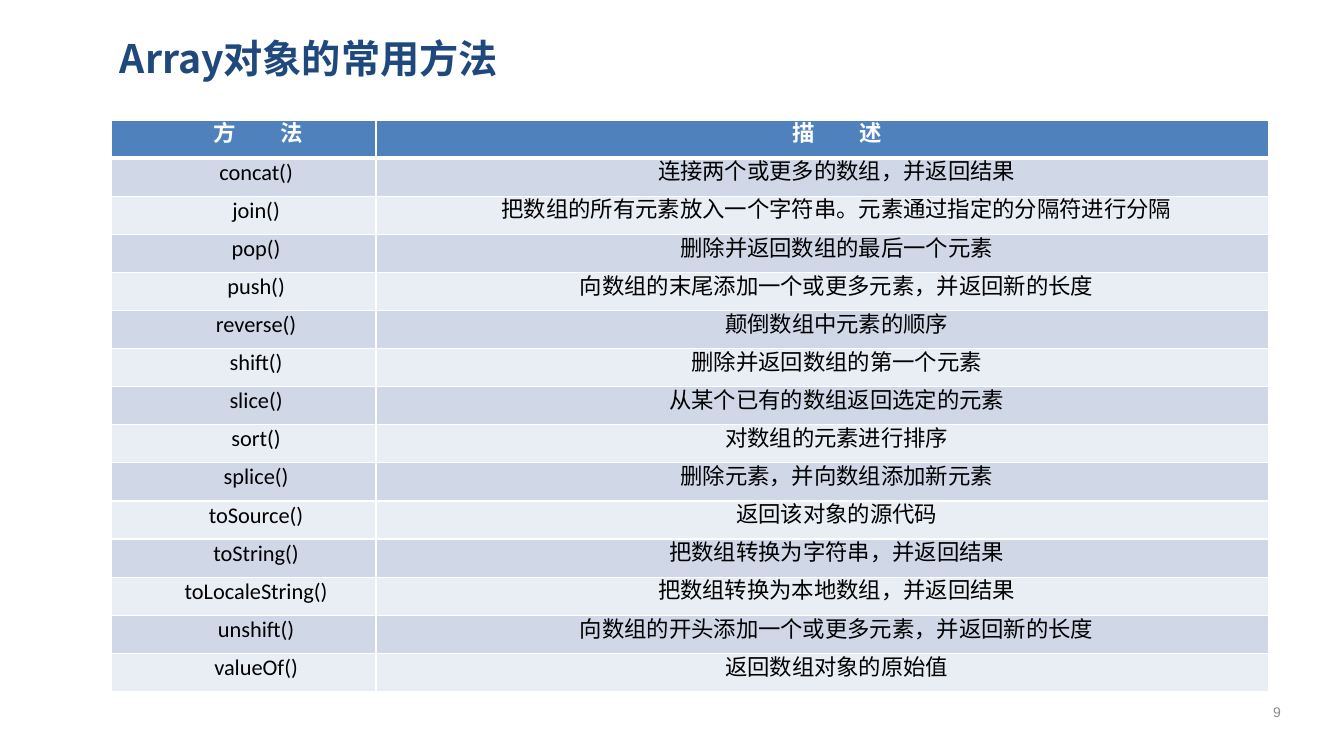
from lxml import etree
from pptx import Presentation
from pptx.dml.color import RGBColor
from pptx.enum.text import MSO_ANCHOR, PP_ALIGN
from pptx.oxml.ns import qn
from pptx.util import Inches, Pt

MIDDLE = MSO_ANCHOR.MIDDLE
LEFT, CENTER = PP_ALIGN.LEFT, PP_ALIGN.CENTER

WHITE = RGBColor(0xFF, 0xFF, 0xFF)
BLACK = RGBColor(0x00, 0x00, 0x00)
NAVY = RGBColor(0x1F, 0x49, 0x7D)
GRAY = RGBColor(0x8C, 0x8C, 0x8C)
HEADER_BLUE = RGBColor(0x4F, 0x81, 0xBD)
BANDS = (RGBColor(0xD0, 0xD8, 0xE8), RGBColor(0xE9, 0xED, 0xF4))

CJK_FONT = "Noto Sans CJK SC"
COLUMN_SHARES = (2.62, 8.85)
HEADER = ("方\u3000\u3000法", "描\u3000\u3000述")
METHODS = (
    ("concat() ", "连接两个或更多的数组，并返回结果"),
    ("join() ", "把数组的所有元素放入一个字符串。元素通过指定的分隔符进行分隔"),
    ("pop() ", "删除并返回数组的最后一个元素"),
    ("push() ", "向数组的末尾添加一个或更多元素，并返回新的长度"),
    ("reverse() ", "颠倒数组中元素的顺序"),
    ("shift() ", "删除并返回数组的第一个元素"),
    ("slice() ", "从某个已有的数组返回选定的元素"),
    ("sort() ", "对数组的元素进行排序"),
    ("splice() ", "删除元素，并向数组添加新元素"),
    ("toSource() ", "返回该对象的源代码"),
    ("toString() ", "把数组转换为字符串，并返回结果"),
    ("toLocaleString() ", "把数组转换为本地数组，并返回结果"),
    ("unshift() ", "向数组的开头添加一个或更多元素，并返回新的长度"),
    ("valueOf() ", "返回数组对象的原始值"),
)


def write_text(frame, text, size, color, font="Calibri", bold=False,
               align=LEFT, line_spacing=None, indent=0):
    paragraph = frame.paragraphs[0]
    paragraph.alignment = align
    if line_spacing:
        paragraph.line_spacing = Pt(line_spacing)
    if indent:
        paragraph._p.get_or_add_pPr().set("indent", str(Inches(indent)))
    run = paragraph.add_run()
    run.text = text
    run.font.size = Pt(size)
    run.font.name = font
    run.font.bold = bold
    run.font.color.rgb = color
    east_asian = etree.SubElement(run._r.get_or_add_rPr(), qn("a:ea"))
    east_asian.set("typeface", CJK_FONT)


def add_text_box(slide, box, text, **text_format):
    shape = slide.shapes.add_textbox(*(Inches(length) for length in box))
    frame = shape.text_frame
    frame.word_wrap = True
    frame.vertical_anchor = MIDDLE
    frame.margin_left = frame.margin_right = Inches(0.09)
    frame.margin_top = frame.margin_bottom = Inches(0.04)
    write_text(frame, text, **text_format)


def set_borders(cell, top=1, bottom=1):
    """Draw white cell borders; widths are in points."""
    properties = cell._tc.get_or_add_tcPr()
    widths = {"a:lnL": 1, "a:lnR": 1, "a:lnT": top, "a:lnB": bottom}
    for position, (tag, width) in enumerate(widths.items()):
        line = etree.Element(qn(tag), w=str(Pt(width)))
        fill = etree.SubElement(line, qn("a:solidFill"))
        etree.SubElement(fill, qn("a:srgbClr"), val=str(WHITE))
        properties.insert(position, line)


def add_method_table(slide, box):
    left, top, width, height = box
    rows = (HEADER, *METHODS)
    table = slide.shapes.add_table(
        len(rows), len(HEADER), Inches(left), Inches(top), Inches(width), Inches(height)
    ).table
    for column, share in zip(table.columns, COLUMN_SHARES):
        column.width = Inches(width * share / sum(COLUMN_SHARES))
    for row_index, texts in enumerate(rows):
        table.rows[row_index].height = Inches(height / len(rows))
        is_header = row_index == 0
        for column_index, text in enumerate(texts):
            cell = table.cell(row_index, column_index)
            cell.vertical_anchor = MIDDLE
            cell.margin_left = cell.margin_right = Inches(0.07)
            cell.margin_top = cell.margin_bottom = 0
            cell.fill.solid()
            cell.fill.fore_color.rgb = HEADER_BLUE if is_header else BANDS[(row_index - 1) % 2]
            set_borders(cell, top=3 if row_index == 1 else 1, bottom=3 if is_header else 1)
            write_text(cell.text_frame, text, size=16, bold=is_header,
                       color=WHITE if is_header else BLACK,
                       align=CENTER, line_spacing=13, indent=0.29)


def main():
    presentation = Presentation()
    presentation.slide_width = Inches(13.33)
    presentation.slide_height = Inches(7.5)
    slide = presentation.slides.add_slide(presentation.slide_layouts[6])
    add_method_table(slide, (1.11, 1.19, 11.47, 5.67))
    add_text_box(slide, (1.1, 0.24, 11.65, 0.67), "Array对象的常用方法",
                 size=28, color=NAVY, font=CJK_FONT, bold=True)
    add_text_box(slide, (12.34, 6.86, 0.65, 0.4), "9",
                 size=10, color=GRAY, font="Arial", align=CENTER)
    presentation.save("out.pptx")


if __name__ == "__main__":
    main()
